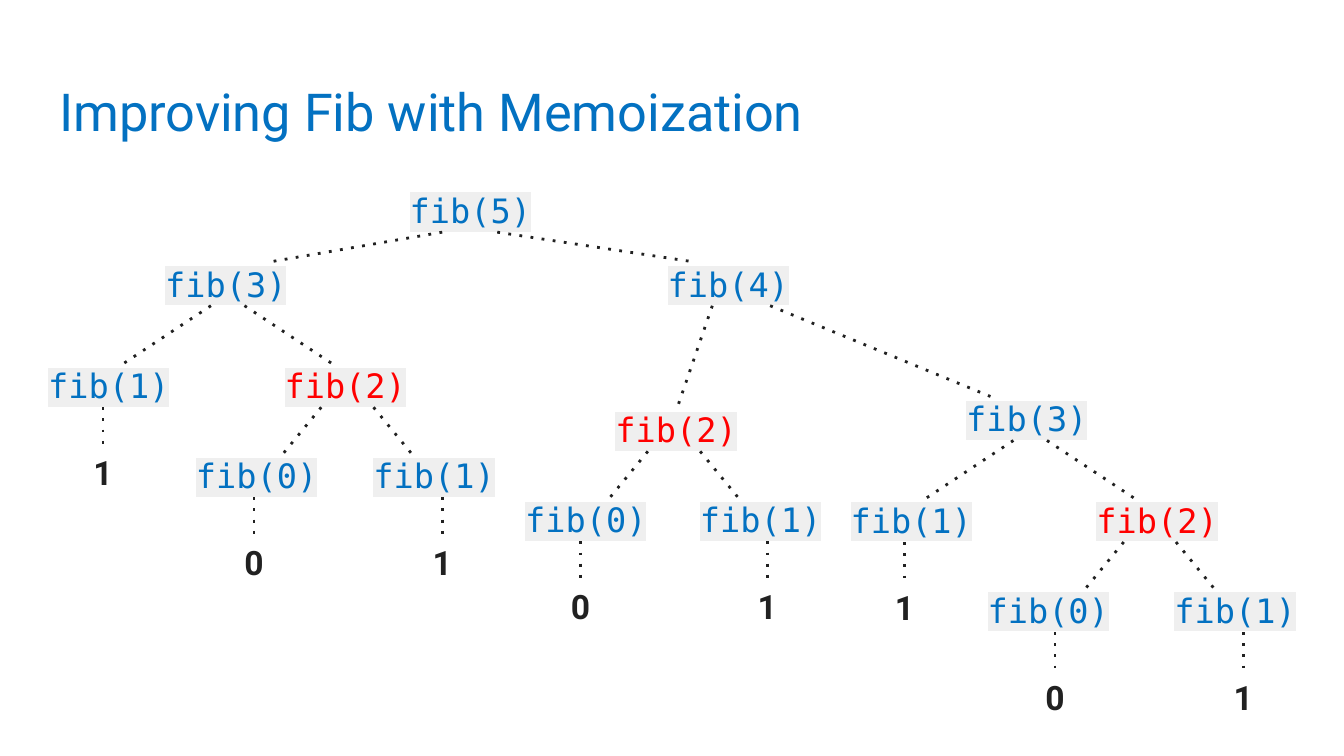
from dataclasses import dataclass
from typing import Optional

from pptx import Presentation
from pptx.dml.color import RGBColor
from pptx.enum.dml import MSO_LINE
from pptx.enum.shapes import MSO_CONNECTOR
from pptx.enum.text import MSO_ANCHOR, MSO_AUTO_SIZE, PP_ALIGN
from pptx.oxml.ns import qn
from pptx.slide import Slide
from pptx.text.text import TextFrame, _Run
from pptx.util import Pt
from lxml.etree import SubElement

BLUE, RED, DARK, GREY = "0371C1", "FF0000", "212121", "EFEFEF"
SANS, MONO = "Roboto", "DejaVu Sans Mono"
CALL_WIDTH, VALUE_WIDTH, BOX_HEIGHT = 80, 72, 23.6
STEM_LENGTH, VALUE_DROP = 20.9, 46.6
INSET = 7.2


@dataclass
class Branch:
    """A line from a call to the call below it."""
    start_x: float
    end_x: float
    child: "Call"


@dataclass
class Call:
    """One call in the tree; a call with a stem returns its own argument."""
    argument: int
    left: float
    top: float
    branches: tuple[Branch, ...] = ()
    stem_x: Optional[float] = None


def fork(axis: float, start: float, end: float, first: Call, second: Call) -> tuple[Branch, ...]:
    """Two branches that mirror each other about an axis."""
    return (Branch(axis - start, axis - end, first),
            Branch(axis + start, axis + end, second))


def fib_two(left: float, top: float, axis: float,
            zero: tuple[float, float], one: tuple[float, float]) -> Call:
    """fib(2) with both base cases, each given as left edge and stem position."""
    leaves = [Call(argument, x, top + 48.2, stem_x=stem)
              for argument, (x, stem) in enumerate((zero, one))]
    return Call(2, left, top, fork(axis, 14, 34.2, *leaves))


def fib_three(left: float, top: float, axis: float,
              one: tuple[float, float], two: Call) -> Call:
    """fib(3) with its base case and a fib(2) subtree."""
    leaf = Call(1, one[0], two.top, stem_x=one[1])
    return Call(3, left, top, fork(axis, 9, 55.6, leaf, two))


def color(value: str) -> RGBColor:
    return RGBColor.from_string(value)


def add_run(frame: TextFrame, text: str, font: str, size: float, tint: str) -> _Run:
    run = frame.paragraphs[0].add_run()
    run.text = text
    run.font.name = font
    run.font.size = Pt(size)
    run.font.color.rgb = color(tint)
    return run


def format_frame(frame: TextFrame, anchor: MSO_ANCHOR) -> None:
    frame.word_wrap = True
    frame.auto_size = MSO_AUTO_SIZE.NONE
    frame.vertical_anchor = anchor
    frame.margin_left = frame.margin_right = Pt(INSET)
    frame.margin_top = frame.margin_bottom = Pt(INSET)


def add_box(slide: Slide, left: float, top: float, width: float) -> TextFrame:
    box = slide.shapes.add_textbox(Pt(left), Pt(top), Pt(width), Pt(BOX_HEIGHT))
    format_frame(box.text_frame, MSO_ANCHOR.MIDDLE)
    return box.text_frame


def add_dotted_line(slide: Slide, x1: float, y1: float, x2: float, y2: float) -> None:
    line = slide.shapes.add_connector(MSO_CONNECTOR.STRAIGHT, Pt(x1), Pt(y1), Pt(x2), Pt(y2))
    line.line.color.rgb = color(DARK)
    line.line.width = Pt(1.5)
    line.line.dash_style = MSO_LINE.ROUND_DOT
    properties = line._element.spPr
    properties.find(".//" + qn("a:prstDash")).set("val", "dot")
    SubElement(properties, qn("a:effectLst"))


def add_title(slide: Slide, text: str) -> None:
    title = slide.shapes.title
    title.left, title.top, title.width, title.height = Pt(24.5), Pt(35.3), Pt(671), Pt(45.4)
    format_frame(title.text_frame, MSO_ANCHOR.TOP)
    title.text_frame.paragraphs[0].alignment = PP_ALIGN.LEFT
    add_run(title.text_frame, text, SANS, 28, BLUE)


def draw_call(slide: Slide, call: Call) -> None:
    # Call label; the repeated fib(2) stands out in red
    frame = add_box(slide, call.left, call.top, CALL_WIDTH)
    tint = RED if call.argument == 2 else BLUE
    run = add_run(frame, f"fib({call.argument})", MONO, 18, tint)
    highlight = SubElement(run._r.rPr, qn("a:highlight"))
    SubElement(highlight, qn("a:srgbClr")).set("val", GREY)
    run._r.rPr.find(qn("a:solidFill")).addnext(highlight)

    # Returned value under a base case
    bottom = call.top + BOX_HEIGHT
    if call.stem_x is not None:
        add_dotted_line(slide, call.stem_x, bottom, call.stem_x, bottom + STEM_LENGTH)
        value = add_box(slide, call.stem_x - VALUE_WIDTH / 2, call.top + VALUE_DROP, VALUE_WIDTH)
        value.paragraphs[0].alignment = PP_ALIGN.CENTER
        add_run(value, str(call.argument), SANS, 18, DARK).font.bold = True

    # Calls below
    for branch in call.branches:
        add_dotted_line(slide, branch.start_x, bottom, branch.end_x, branch.child.top)
        draw_call(slide, branch.child)


def main() -> None:
    presentation = Presentation()
    presentation.slide_width, presentation.slide_height = Pt(720), Pt(405)
    slide = presentation.slides.add_slide(presentation.slide_layouts[5])
    add_title(slide, "Improving Fib with Memoization")

    # Call tree, built from the subtrees up
    left_three = fib_three(
        81.4, 140.2, 122, (18.7, 55.2),
        fib_two(145.4, 194.6, 186.1, (97.9, 136.1), (193, 236.9)))
    middle_two = fib_two(322.6, 218.2, 361.1, (274.3, 311), (367.9, 411.1))
    right_three = fib_three(
        510.5, 212.4, 551.9, (448.6, 484.6),
        fib_two(580.3, 266.8, 616, (522, 565.2), (622.1, 666)))
    four = Call(4, 350.6, 140.2, (Branch(381.6, 362.9, middle_two),
                                  Branch(412.6, 530.6, right_three)))
    five = Call(5, 212.4, 100.8, (Branch(236.9, 145.4, left_three),
                                  Branch(266.4, 370.8, four)))
    draw_call(slide, five)
    presentation.save("out.pptx")


if __name__ == "__main__":
    main()
